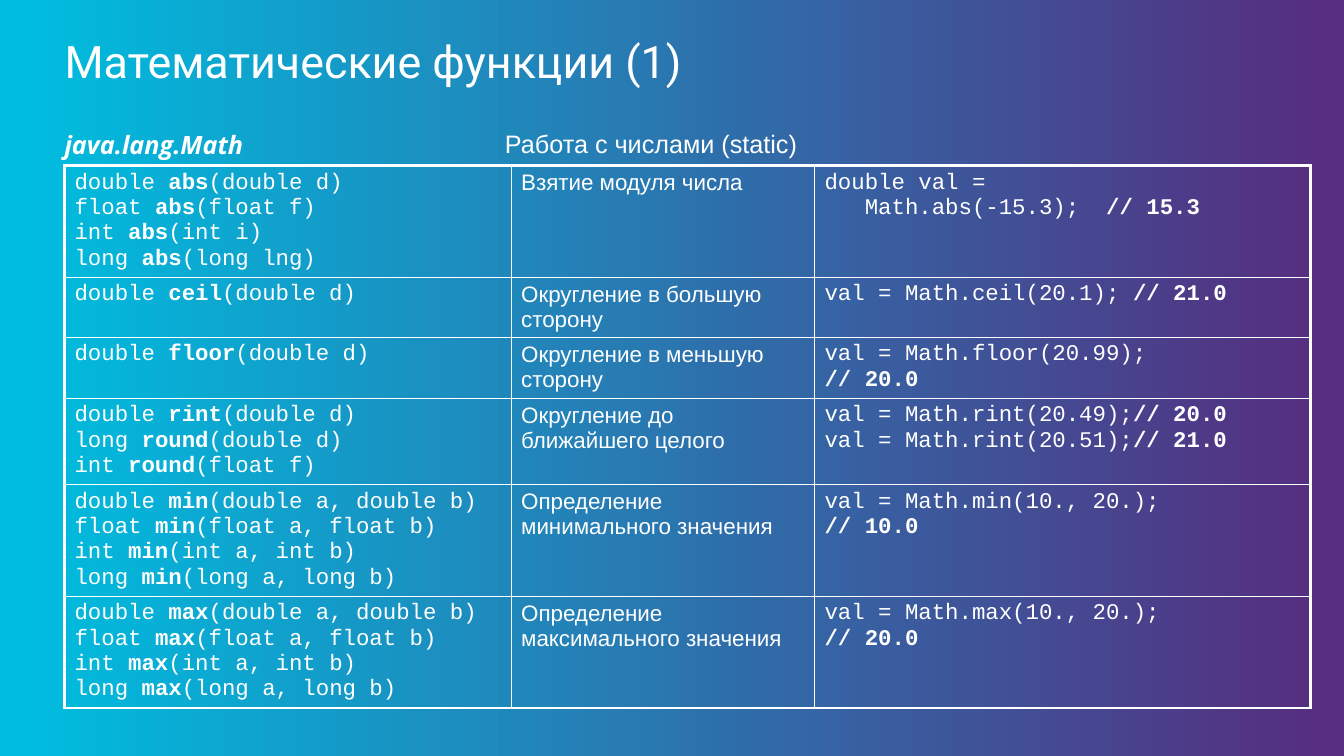
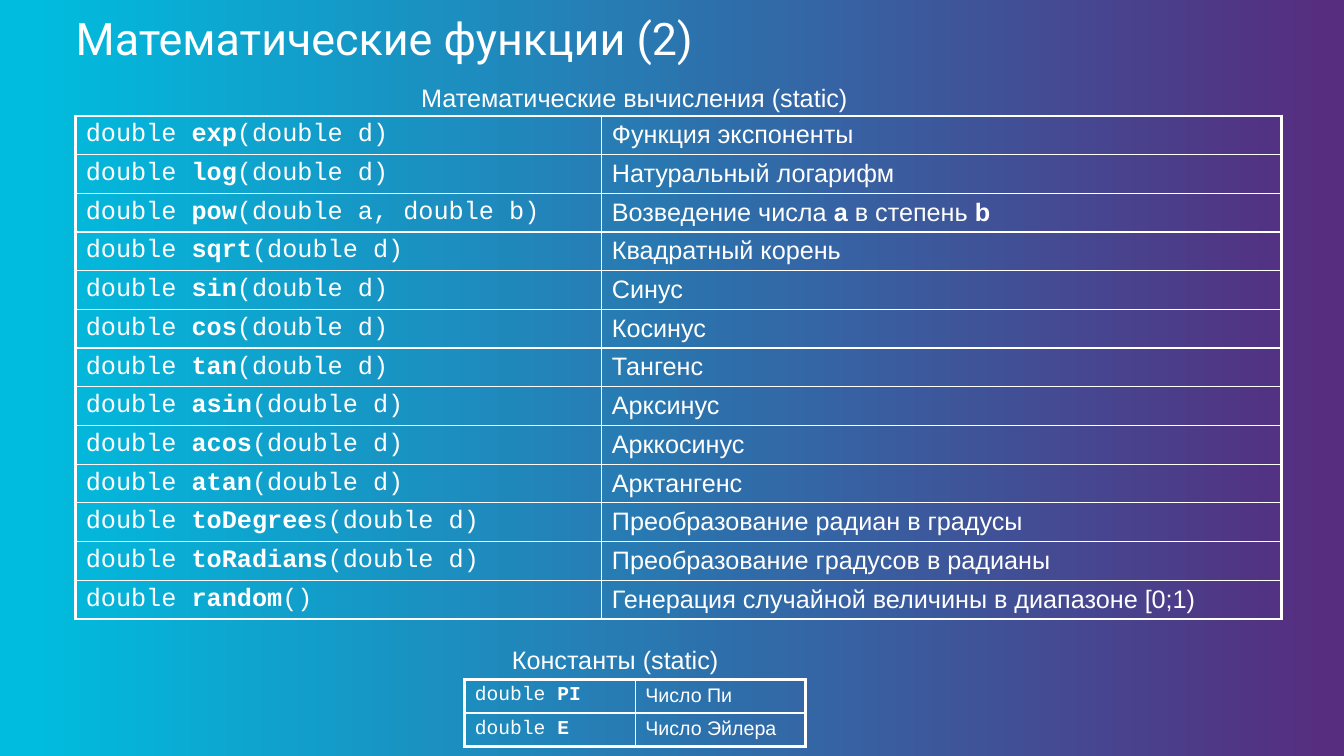
from dataclasses import dataclass

from lxml import etree
from pptx import Presentation
from pptx.dml.color import RGBColor
from pptx.enum.text import MSO_ANCHOR, MSO_AUTO_SIZE
from pptx.oxml.ns import qn
from pptx.util import Inches, Pt

TOP = MSO_ANCHOR.TOP
NO_FIT = MSO_AUTO_SIZE.NONE
GROW = MSO_AUTO_SIZE.SHAPE_TO_FIT_TEXT
WIDTH, HEIGHT = Inches(13.333), Inches(7.5)
TITLE_AND_BODY, TITLE_ONLY = 1, 5


@dataclass(frozen=True)
class Theme:
    """Colours, fonts and point sizes that the slides share."""
    ink: str = "FFFFFF"
    gradient: tuple = ((0.01, "562D7F"), (0.98, "00BCDE"))
    title_font: str = "Roboto"
    package_font: str = "Open Sans"
    text_font: str = "Arial"
    code_font: str = "Courier New"
    title: int = 32
    text: int = 18
    dense: int = 16
    small: int = 14
    outer_line: float = 2.25
    inner_line: float = 1


THEME = Theme()

NUMBER_ROWS = [
    ("double **abs**(double d)\nfloat **abs**(float f)\nint **abs**(int i)\nlong **abs**(long lng)",
     "Взятие модуля числа",
     "double val =\n   Math.abs(-15.3);  **// 15.3**"),
    ("double **ceil**(double d)", "Округление в большую сторону",
     "val = Math.ceil(20.1); **// 21.0**"),
    ("double **floor**(double d)", "Округление в меньшую сторону",
     "val = Math.floor(20.99);\n**// 20.0**"),
    ("double **rint**(double d)\nlong **round**(double d)\nint **round**(float f)",
     "Округление до ближайшего целого",
     "val = Math.rint(20.49);**// 20.0**\nval = Math.rint(20.51);**// 21.0**"),
]
EXTREMES = [("min", "минимального", "10.0"), ("max", "максимального", "20.0")]
CALCULATION_ROWS = [
    ("double **exp**(double d)", "Функция экспоненты"),
    ("double **log**(double d)", "Натуральный логарифм"),
    ("double **pow**(double a, double b)", "Возведение числа **a** в степень **b**"),
    ("double **sqrt**(double d)", "Квадратный корень"),
    ("double **sin**(double d)", "Синус"),
    ("double **cos**(double d)", "Косинус"),
    ("double **tan**(double d)", "Тангенс"),
    ("double **asin**(double d)", "Арксинус"),
    ("double **acos**(double d)", "Арккосинус"),
    ("double **atan**(double d)", "Арктангенс"),
    ("double **toDegree**s(double d)", "Преобразование радиан в градусы"),
    ("double **toRadians**(double d)", "Преобразование градусов в радианы"),
    ("double **random**()", "Генерация случайной величины в диапазоне [0;1)"),
]
CONSTANT_ROWS = [("double **PI**", "Число Пи"), ("double **E**", "Число Эйлера")]


def across(percent):
    """Return a share of the slide's width."""
    return round(WIDTH * percent / 100)


def down(percent):
    """Return a share of the slide's height."""
    return round(HEIGHT * percent / 100)


def place(sp, x, y, w, h):
    """Move and size a shape by shares of the slide."""
    sp.left, sp.top, sp.width, sp.height = across(x), down(y), across(w), down(h)


def write(tf, text, font, size, bold=False, italic=False):
    """Write lines as paragraphs, with the parts between ** in bold."""
    for i, line in enumerate(text.split("\n")):
        p = tf.add_paragraph() if i else tf.paragraphs[0]
        for j, part in enumerate(line.split("**")):
            if part:
                r = p.add_run()
                r.text = part
                r.font.name, r.font.size = font, Pt(size)
                r.font.bold, r.font.italic = bold or j % 2 == 1, italic
                r.font.color.rgb = RGBColor.from_string(THEME.ink)


def fill_placeholder(sp, box, text, font, size, **style):
    """Place a template placeholder and set its text."""
    place(sp, *box)
    tf = sp.text_frame
    tf.auto_size, tf.word_wrap, tf.vertical_anchor = NO_FIT, True, TOP
    tf.margin_left = 0
    write(tf, text, font, size, **style)
    p = tf.paragraphs[0]
    p.line_spacing = 0.9
    return p


def add_titled_slide(prs, layout, text, x, y):
    """Add a slide with the shared title style."""
    s = prs.slides.add_slide(prs.slide_layouts[layout])
    p = fill_placeholder(s.shapes.title, (x, y, 88.75, 10), text, THEME.title_font, THEME.title)
    p.alignment = 1
    return s


def set_package(s, text):
    """Put the package name in the body placeholder, without a bullet."""
    p = fill_placeholder(s.placeholders[1], (4.8, 16.93, 88.75, 50), text,
                         THEME.package_font, THEME.text, bold=True, italic=True)
    p.space_before = Pt(10)
    pPr = p._p.get_or_add_pPr()
    pPr.set("marL", "0")
    pPr.set("indent", "0")
    etree.SubElement(pPr, qn("a:buNone"))


def add_caption(s, text, x, y, w, wrap=False):
    """Add a caption above a table."""
    tf = s.shapes.add_textbox(across(x), down(y), across(w), down(5.33)).text_frame
    tf.word_wrap, tf.auto_size = wrap, GROW
    write(tf, text, THEME.text_font, THEME.text)


def set_borders(cell, outer):
    """Draw the cell's four sides, thicker where the side is on the table's edge."""
    tcPr = cell._tc.get_or_add_tcPr()
    for i, side in enumerate("LRTB"):
        width = THEME.outer_line if side in outer else THEME.inner_line
        ln = etree.Element(qn(f"a:ln{side}"), w=str(Pt(width)))
        fill = etree.SubElement(ln, qn("a:solidFill"))
        etree.SubElement(fill, qn("a:srgbClr"), val=THEME.ink)
        tcPr.insert(i, ln)


def add_grid(s, x, y, cols, heights, rows, size):
    """Add a clear table whose second column is prose and whose others are code."""
    table = s.shapes.add_table(len(rows), len(cols), across(x), down(y),
                               across(sum(cols)), down(sum(heights))).table
    table.first_row = table.horz_banding = False
    for column, w in zip(table.columns, cols):
        column.width = across(w)
    for i, (texts, h) in enumerate(zip(rows, heights)):
        table.rows[i].height = down(h)
        for j, text in enumerate(texts):
            cell = table.cell(i, j)
            cell.fill.background()
            edges = {"L": j == 0, "R": j == len(cols) - 1, "T": i == 0, "B": i == len(rows) - 1}
            set_borders(cell, [side for side, on_edge in edges.items() if on_edge])
            write(cell.text_frame, text, THEME.text_font if j == 1 else THEME.code_font, size)


def extreme_row(name, adjective, result):
    """Return the table row of min or max, with one overload for each type."""
    overloads = "\n".join(f"{t} **{name}**({t} a, {t} b)" for t in ("double", "float", "int", "long"))
    return (overloads, f"Определение {adjective} значения",
            f"val = Math.{name}(10., 20.);\n**// {result}**")


def set_background(prs):
    """Give the slide master its gradient."""
    fill = prs.slide_master.background.fill
    fill.gradient()
    fill.gradient_angle = 180
    for stop, (position, colour) in zip(fill.gradient_stops, THEME.gradient):
        stop.position = position
        stop.color.rgb = RGBColor.from_string(colour)


def add_numbers_slide(prs):
    """Build the slide on work with numbers."""
    s = add_titled_slide(prs, TITLE_AND_BODY, "Математические функции (1)", 4.8, 4.53)
    set_package(s, "java.lang.Math")
    rows = NUMBER_ROWS + [extreme_row(*extreme) for extreme in EXTREMES]
    add_grid(s, 4.8, 21.87, [33.23, 22.58, 36.9],
             [14.8, 7.95, 7.95, 11.35, 14.8, 14.8], rows, THEME.dense)
    add_caption(s, "Работа с числами (static)", 36.83, 16.27, 24.6, wrap=True)


def add_calculations_slide(prs):
    """Build the slide on calculations and constants."""
    s = add_titled_slide(prs, TITLE_ONLY, "Математические функции (2)", 5.63, 1.6)
    add_grid(s, 5.63, 15.33, [39.15, 50.55], [5.12] * len(CALCULATION_ROWS),
             CALCULATION_ROWS, THEME.text)
    add_caption(s, "Математические вычисления (static)", 30.6, 10.27, 33.3)
    add_caption(s, "Константы (static)", 37.35, 84.53, 16.95)
    add_grid(s, 34.58, 89.87, [12.68] * 2, [4.45] * len(CONSTANT_ROWS),
             CONSTANT_ROWS, THEME.small)


def main():
    """Build and save the presentation."""
    prs = Presentation()
    prs.slide_width, prs.slide_height = WIDTH, HEIGHT
    set_background(prs)
    add_numbers_slide(prs)
    add_calculations_slide(prs)
    prs.save("out.pptx")


if __name__ == "__main__":
    main()
